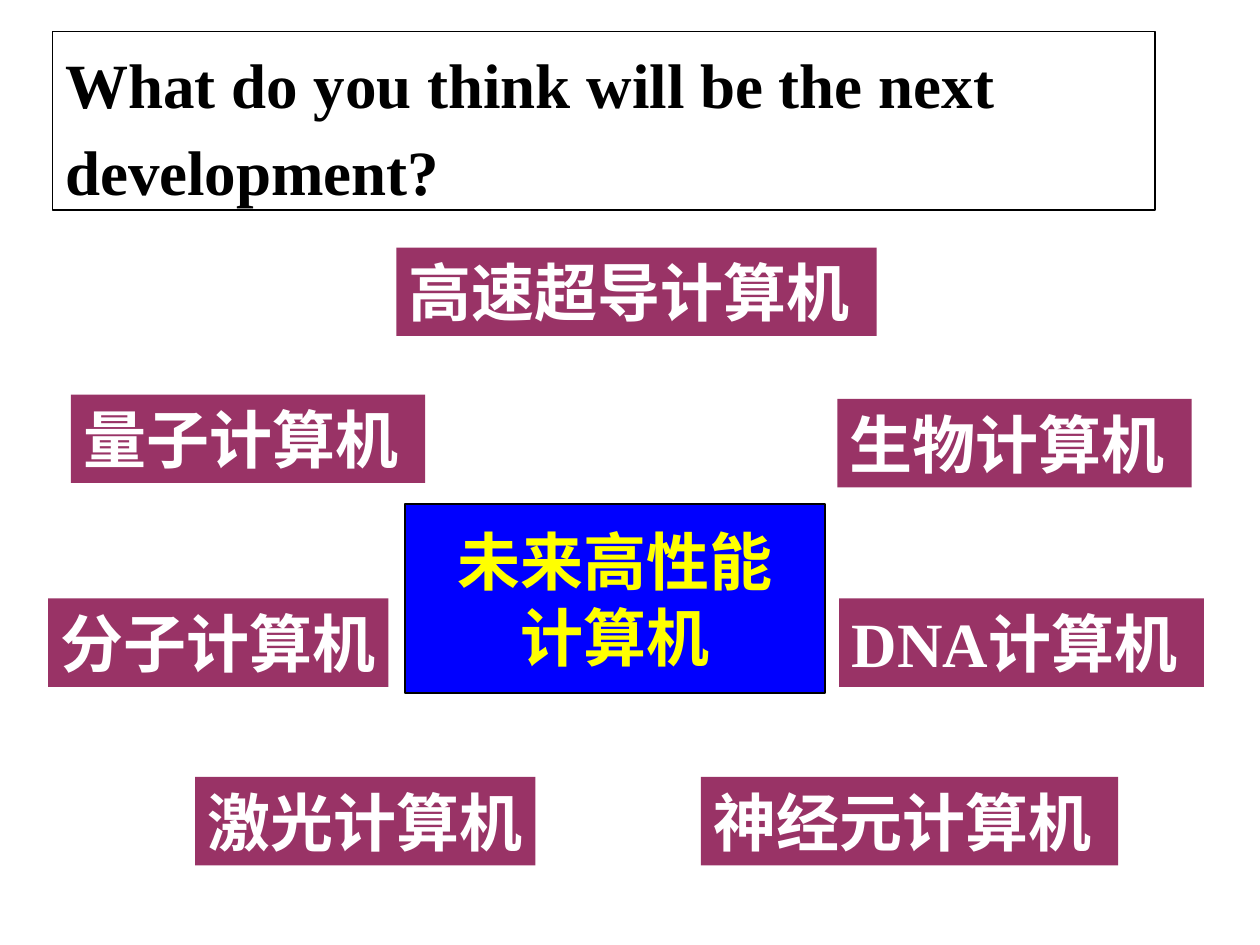
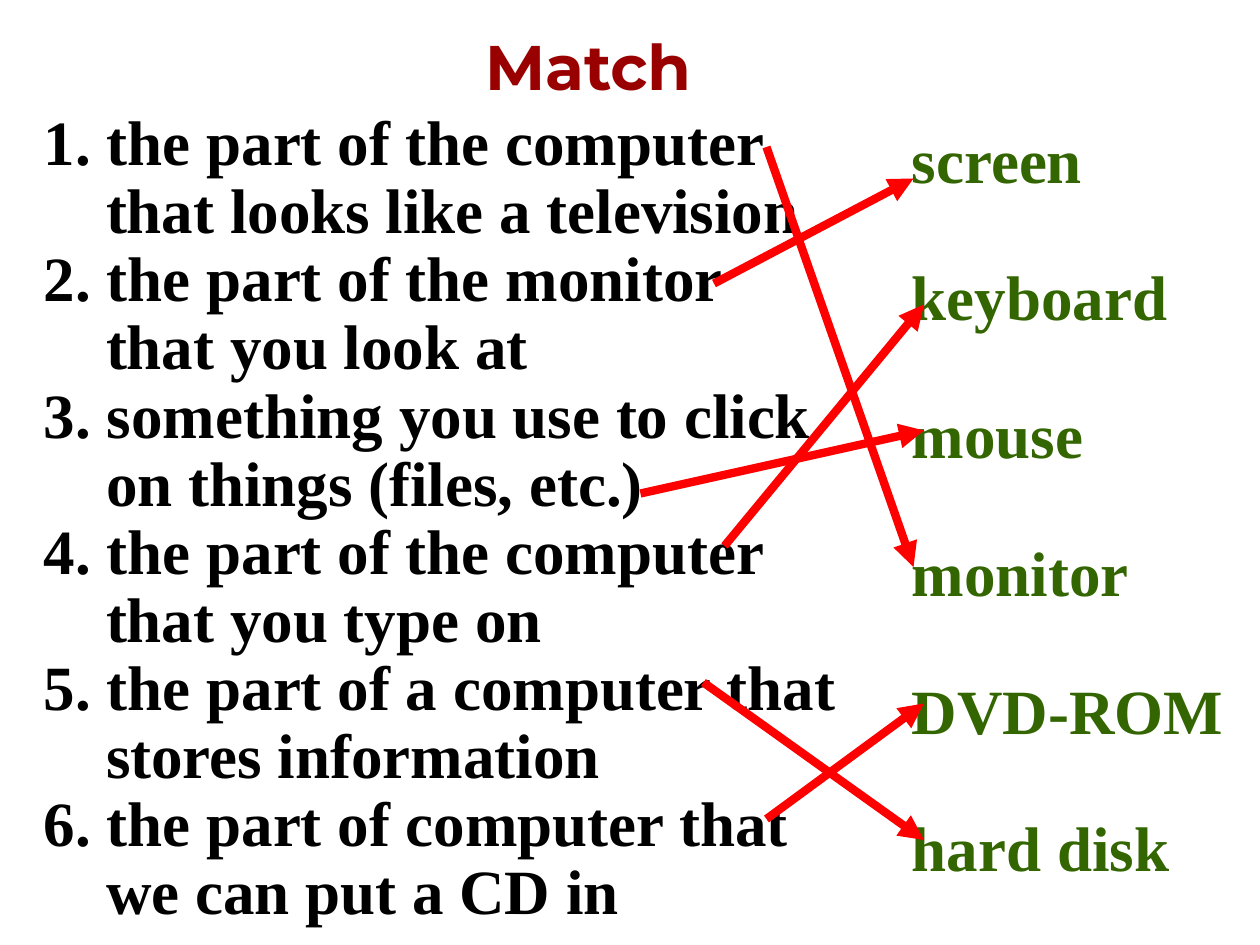
from pptx import Presentation
from pptx.dml.color import RGBColor
from pptx.enum.shapes import MSO_CONNECTOR, MSO_SHAPE
from pptx.enum.text import MSO_ANCHOR, MSO_AUTO_SIZE, PP_ALIGN
from pptx.oxml.ns import qn
from pptx.util import Pt
from lxml.etree import SubElement

COLORS = {
    "black": "000000", "white": "FFFFFF", "plum": "993366", "blue": "0000FF",
    "yellow": "FFFF00", "crimson": "990000", "green": "336600", "red": "FF0000",
}
SERIF, SANS, DISPLAY = "Times New Roman", "Arial", "Montserrat"
TEXT_SIZE = 36

# Boxes are (left, top, width, height) in points.
QUESTION = "What do you think will be the next development?"
QUESTION_BOX = (30, 18, 630, 102)
CENTRE = ["未来高性能", "计算机"]
CENTRE_BOX = (231.5, 288, 240, 108)
LABEL_HEIGHT = 50.5
# Text, font, left, top, width
LABELS = [
    ("高速超导计算机", SANS, 226.5, 141.5, 274.5),
    ("激光计算机", SANS, 111.5, 444, 194.5),
    ("分子计算机", SANS, 27.5, 342, 194.5),
    ("量子计算机", SANS, 40.5, 225.5, 202.5),
    ("DNA计算机", SERIF, 479.5, 342, 208.5),
    ("神经元计算机", SANS, 400.5, 444, 238.5),
    ("生物计算机", SANS, 478.5, 228, 202.5),
]

MATCH_BOX = (270, 12, 137, 50.5)
DEFINITIONS = [
    "the part of the computer that looks like a television",
    "the part of the monitor that you look at",
    "something you use to click on things (files, etc.)",
    "the part of the computer that you type on",
    "the part of a computer that stores information",
    "the part of computer that we can put a CD in",
]
DEFINITIONS_BOX = (18, 60, 466.5, 474)
WORDS = ["screen", "keyboard", "mouse", "monitor", "DVD-ROM", "hard disk"]
WORDS_BOX = (514, 69, 206, 436)
# Start x, start y, end x, end y of each answer
ANSWERS = [
    (438, 84, 522, 324),
    (408, 162, 522, 102),
    (366, 282, 528, 246),
    (414, 312, 528, 174),
    (402, 390, 528, 480),
    (438, 468, 528, 402),
]


def color(name):
    return RGBColor.from_string(COLORS[name])


def place(shape, box):
    shape.left, shape.top, shape.width, shape.height = map(Pt, box)


def write(shape, lines, font=SERIF, ink="black", align=PP_ALIGN.LEFT,
          anchor=MSO_ANCHOR.MIDDLE, spacing=1.0, gap=0, hanging=0, right_inset=7.2):
    frame = shape.text_frame
    frame.auto_size = MSO_AUTO_SIZE.NONE
    frame.word_wrap = True
    frame.vertical_anchor = anchor
    frame.margin_left, frame.margin_right = Pt(7.2), Pt(right_inset)
    frame.margin_top = frame.margin_bottom = Pt(3.6)
    for index, line in enumerate(lines):
        paragraph = frame.add_paragraph() if index else frame.paragraphs[0]
        paragraph.alignment = align
        paragraph.line_spacing = spacing
        paragraph.space_before = Pt(gap if index else 0)
        if hanging:
            properties = paragraph._p.get_or_add_pPr()
            properties.set("marL", str(Pt(hanging)))
            properties.set("indent", str(-Pt(hanging)))
        run = paragraph.add_run()
        run.text = line
        run.font.name = font
        run.font.size = Pt(TEXT_SIZE)
        run.font.bold = True
        run.font.color.rgb = color(ink)


def outline(shape):
    shape.line.color.rgb = color("black")
    shape.line.width = Pt(0.75)


def add_titled_slide(presentation, title, box, **text_format):
    slide = presentation.slides.add_slide(presentation.slide_layouts[5])
    place(slide.shapes.title, box)
    write(slide.shapes.title, [title], **text_format)
    return slide


def add_box(slide, lines, box, fill, **text_format):
    shape = slide.shapes.add_shape(MSO_SHAPE.RECTANGLE, *map(Pt, box))
    shape.shadow.inherit = False
    shape.fill.solid()
    shape.fill.fore_color.rgb = color(fill)
    shape.line.fill.background()
    write(shape, lines, **text_format)
    return shape


def add_text(slide, lines, box, **text_format):
    write(slide.shapes.add_textbox(*map(Pt, box)), lines, **text_format)


def add_arrow(slide, ends):
    arrow = slide.shapes.add_connector(MSO_CONNECTOR.STRAIGHT, *map(Pt, ends))
    arrow.line.color.rgb = color("red")
    arrow.line.width = Pt(4.75)
    SubElement(arrow.line._get_or_add_ln(), qn("a:tailEnd"), type="triangle")
    SubElement(arrow._element.spPr, qn("a:effectLst"))


def build_future_slide(presentation):
    slide = add_titled_slide(presentation, QUESTION, QUESTION_BOX, spacing=1.15)
    outline(slide.shapes.title)
    for text, font, left, top, width in LABELS:
        add_box(slide, [text], (left, top, width, LABEL_HEIGHT), "plum",
                font=font, ink="white", right_inset=0)
    centre = add_box(slide, CENTRE, CENTRE_BOX, "blue",
                     font=SANS, ink="yellow", align=PP_ALIGN.CENTER)
    outline(centre)


def build_match_slide(presentation):
    slide = add_titled_slide(presentation, "Match", MATCH_BOX, font=DISPLAY,
                             ink="crimson", anchor=MSO_ANCHOR.TOP, right_inset=0)
    add_text(slide, WORDS, WORDS_BOX, ink="green", gap=35.5)
    numbered = [f"{number}. {text}" for number, text in enumerate(DEFINITIONS, 1)]
    add_text(slide, numbered, DEFINITIONS_BOX, spacing=0.9, hanging=35.5)
    for ends in ANSWERS:
        add_arrow(slide, ends)


def main():
    presentation = Presentation()
    presentation.slide_width, presentation.slide_height = Pt(720), Pt(540)
    build_future_slide(presentation)
    build_match_slide(presentation)
    presentation.save("out.pptx")


if __name__ == "__main__":
    main()
